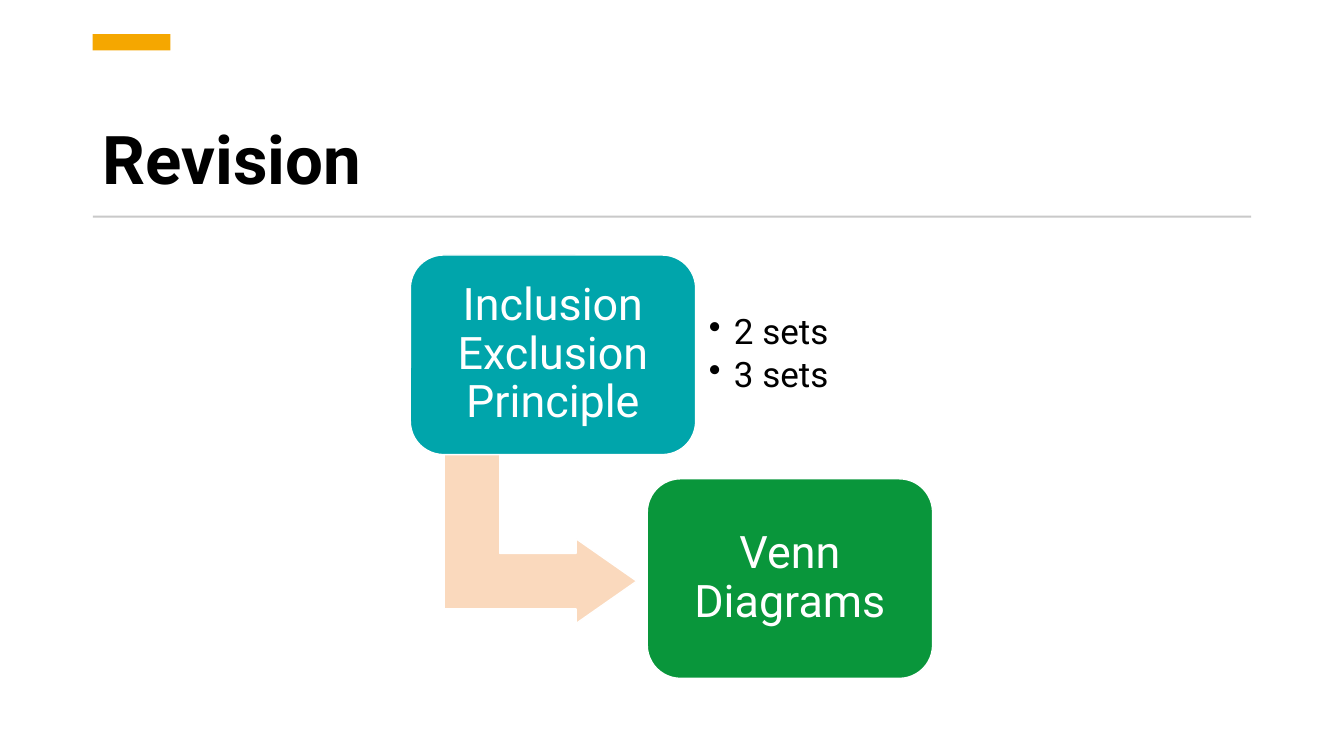
from lxml import etree
from pptx import Presentation
from pptx.dml.color import RGBColor
from pptx.enum.shapes import MSO_SHAPE
from pptx.enum.text import MSO_ANCHOR, PP_ALIGN
from pptx.oxml.ns import qn
from pptx.util import Inches, Pt

RECT, ROUND, BENT = MSO_SHAPE.RECTANGLE, MSO_SHAPE.ROUNDED_RECTANGLE, MSO_SHAPE.BENT_UP_ARROW
MIDDLE, BOTTOM = MSO_ANCHOR.MIDDLE, MSO_ANCHOR.BOTTOM
LEFT, CENTER = PP_ALIGN.LEFT, PP_ALIGN.CENTER

# Content
TITLE = "Revision"
STEPS = [
    ("Inclusion Exclusion Principle", "teal", ["2 sets", "3 sets"]),
    ("Venn Diagrams", "green", []),
]

THEME = {
    "font": "Roboto",
    "black": "000000", "white": "FFFFFF", "accent": "F5A700", "rule": "C9C9C9",
    "teal": "00A5AB", "green": "09963B", "arrow": "FAD9BD",
    "title": 48, "step": 32, "bullet": 25,
}

# Layout in inches
MARGIN, CONTENT_W = 0.92, 11.49
STEP_X, STEP_Y, STEP_W, STEP_H = 4.07, 2.53, 2.83, 1.98
STEP_DX, STEP_DY = 2.35, 2.22
PAD = 0.13

prs = Presentation()
prs.slide_width, prs.slide_height = Inches(13.33), Inches(7.5)
s = prs.slides.add_slide(prs.slide_layouts[6])


def color(name):
    return RGBColor.from_string(THEME[name])


def add_shape(kind, box, fill, line=None, adjustments=()):
    sp = s.shapes.add_shape(kind, *map(Inches, box))
    sp.shadow.inherit = False
    sp.fill.solid()
    sp.fill.fore_color.rgb = color(fill)
    if line:
        sp.line.color.rgb = color(line)
        sp.line.width = Pt(1)
    else:
        sp.line.fill.background()
    for i, value in enumerate(adjustments):
        sp.adjustments[i] = value
    return sp


def write(sp, lines, size, ink, anchor=MIDDLE, align=LEFT, bold=False,
          pad=(PAD, PAD), bullets=False):
    tf = sp.text_frame
    side, top = map(Inches, pad)
    frame = {"word_wrap": True, "vertical_anchor": anchor, "margin_left": side,
             "margin_right": side, "margin_top": top, "margin_bottom": top}
    for name, value in frame.items():
        setattr(tf, name, value)
    for i, line in enumerate(lines):
        p = tf.paragraphs[0] if i == 0 else tf.add_paragraph()
        p.alignment, p.line_spacing = align, 0.9
        r = p.add_run()
        r.text = line
        for name, value in {"name": THEME["font"], "size": Pt(THEME[size]), "bold": bold}.items():
            setattr(r.font, name, value)
        r.font.color.rgb = color(ink)
        if bullets:
            p.space_after = Pt(4)
            pPr = p._p.get_or_add_pPr()
            pPr.set("marL", str(Inches(0.25)))
            pPr.set("indent", str(-Inches(0.25)))
            etree.SubElement(pPr, qn("a:buChar")).set("char", "•")


def add_text(box, lines, size, ink, **options):
    write(s.shapes.add_textbox(*map(Inches, box)), lines, size, ink, **options)


# Header: title, accent bar and rule
add_text((MARGIN, 0.75, CONTENT_W, 1.27), [TITLE], "title", "black",
         anchor=BOTTOM, bold=True, pad=(0.1, 0.05))
add_shape(RECT, (MARGIN, 0.34, 0.77, 0.16), "accent")
add_shape(RECT, (MARGIN, 2.14, CONTENT_W, 0.02), "rule")

# Arrow from the first step to the second
arrow = add_shape(BENT, (4.52, 4.39, 1.68, 1.91), "arrow", "white", (0.328, 0.25, 0.358))
arrow.rotation = 90

# Steps descend to the right, with bullets beside them
for i, (label, fill, points) in enumerate(STEPS):
    x, y = STEP_X + i * STEP_DX, STEP_Y + i * STEP_DY
    step = add_shape(ROUND, (x, y, STEP_W, STEP_H), fill, "white", (0.167,))
    write(step, [label], "step", "white", align=CENTER)
    if points:
        add_text((x + STEP_W, y + 0.19, 2.06, 1.6), points, "bullet", "black", bullets=True)

prs.save("out.pptx")
